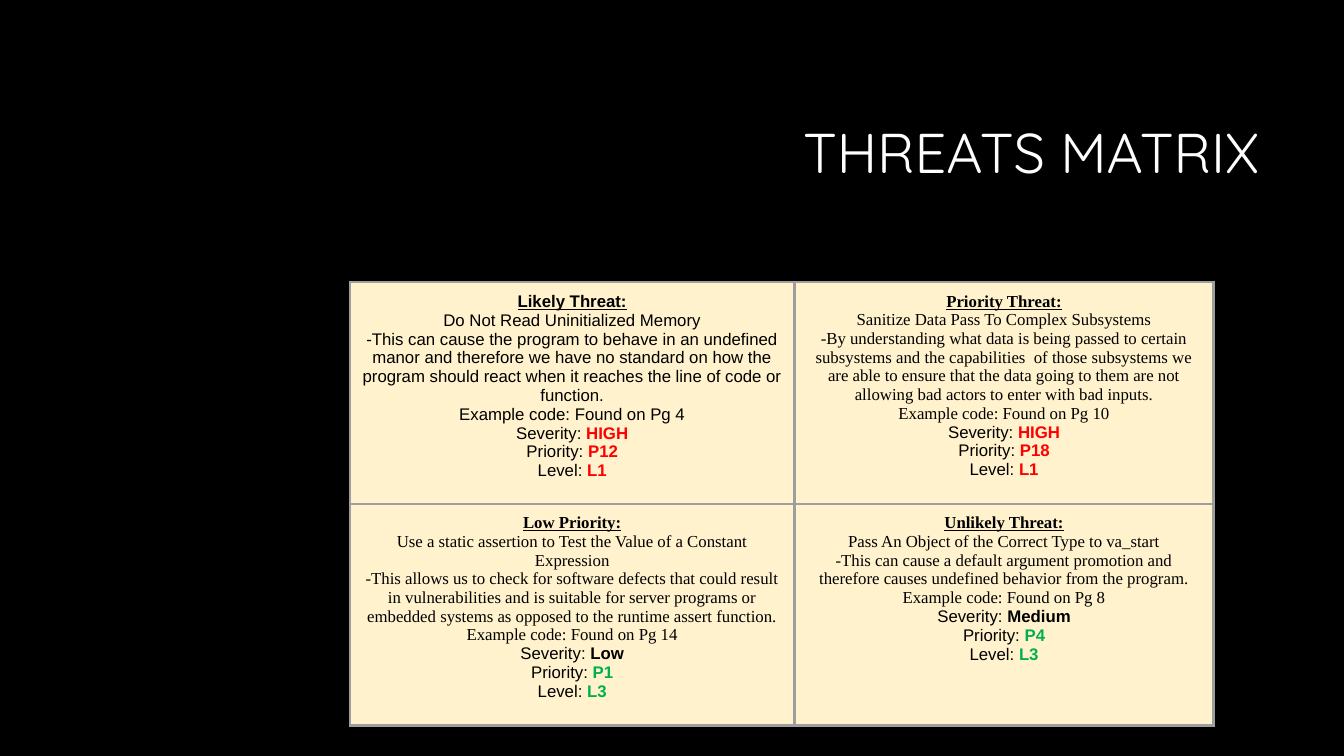
from lxml.etree import SubElement
from pptx import Presentation
from pptx.dml.color import RGBColor
from pptx.enum.text import MSO_ANCHOR, PP_ALIGN
from pptx.oxml.ns import qn
from pptx.util import Pt

COLORS = {
    "back": "000000", "title": "FFFFFF", "text": "000000", "cell": "FFF2CC",
    "border": "9E9E9E", "red": "FF0000", "green": "00B050",
}
SANS, SERIF = "Arial", "Times New Roman"

TITLE = "THREATS MATRIX"
# Each threat: font, heading, rule, reason, page, then (value, color) ratings
THREATS = [
    [
        (SANS, "Likely Threat:", "Do Not Read Uninitialized Memory",
         "-This can cause the program to behave in an undefined manor and "
         "therefore we have no standard on how the program should react when "
         "it reaches the line of code or function.",
         4, [("HIGH", "red"), ("P12", "red"), ("L1", "red")]),
        (SERIF, "Priority Threat:", "Sanitize Data Pass To Complex Subsystems",
         "-By understanding what data is being passed to certain subsystems "
         "and the capabilities  of those subsystems we are able to ensure that "
         "the data going to them are not allowing bad actors to enter with bad "
         "inputs.",
         10, [("HIGH", "red"), ("P18", "red"), ("L1", "red")]),
    ],
    [
        (SERIF, "Low Priority:",
         "Use a static assertion to Test the Value of a Constant Expression",
         "-This allows us to check for software defects that could result in "
         "vulnerabilities and is suitable for server programs or embedded "
         "systems as opposed to the runtime assert function.",
         14, [("Low", "text"), ("P1", "green"), ("L3", "green")]),
        (SERIF, "Unlikely Threat:",
         "Pass An Object of the Correct Type to va_start",
         "-This can cause a default argument promotion and therefore causes "
         "undefined behavior from the program.",
         8, [("Medium", "text"), ("P4", "green"), ("L3", "green")]),
    ],
]
RATINGS = ["Severity: ", "Priority: ", "Level: "]
WIDTHS = [317.5, 299.5]
ROW = 139


def color(name):
    return RGBColor.from_string(COLORS[name])


def add_run(para, text, font, size=12, tint="text", bold=False, under=False):
    run = para.add_run()
    run.text = text
    run.font.name = font
    run.font.size = Pt(size)
    run.font.color.rgb = color(tint)
    run.font.bold = bold
    run.font.underline = under


def add_borders(cell):
    """Draw all four borders; they must come before the cell's fill."""
    props = cell._tc.get_or_add_tcPr()
    for side in ("lnL", "lnR", "lnT", "lnB"):
        line = SubElement(props, qn(f"a:{side}"), w=str(Pt(2.25)))
        fill = SubElement(line, qn("a:solidFill"))
        SubElement(fill, qn("a:srgbClr"), val=COLORS["border"])


def fill_cell(cell, threat):
    font, heading, rule, reason, page, values = threat
    add_borders(cell)
    cell.fill.solid()
    cell.fill.fore_color.rgb = color("cell")
    cell.margin_left = cell.margin_right = Pt(7.2)
    cell.margin_top = cell.margin_bottom = Pt(7.2)
    frame = cell.text_frame

    para = frame.paragraphs[0]
    add_run(para, heading, font, bold=True, under=True)
    for text in (rule, reason, f"Example code: Found on Pg {page}"):
        add_run(frame.add_paragraph(), text, font)
    for label, (value, tint) in zip(RATINGS, values):
        para = frame.add_paragraph()
        add_run(para, label, SANS)
        add_run(para, value, SANS, tint=tint, bold=True)
    for para in frame.paragraphs:
        para.alignment = PP_ALIGN.CENTER


def add_title(slide):
    box = slide.shapes.add_textbox(Pt(228), Pt(60.5), Pt(678.5), Pt(101.5))
    frame = box.text_frame
    frame.word_wrap = True
    frame.vertical_anchor = MSO_ANCHOR.MIDDLE
    para = frame.paragraphs[0]
    para.alignment = PP_ALIGN.RIGHT
    para.line_spacing = 0.9
    add_run(para, TITLE, "Quicksand", 40, "title")


def add_matrix(slide):
    rows, cols = len(THREATS), len(WIDTHS)
    table = slide.shapes.add_table(
        rows, cols, Pt(250), Pt(201.5), Pt(sum(WIDTHS)), Pt(ROW * rows)).table
    table.first_row = table.horz_banding = False
    for col, width in zip(table.columns, WIDTHS):
        col.width = Pt(width)
    for r, threats in enumerate(THREATS):
        table.rows[r].height = Pt(ROW)
        for c, threat in enumerate(threats):
            fill_cell(table.cell(r, c), threat)


def main():
    deck = Presentation()
    deck.slide_width, deck.slide_height = Pt(960), Pt(540)
    slide = deck.slides.add_slide(deck.slide_layouts[6])
    slide.background.fill.solid()
    slide.background.fill.fore_color.rgb = color("back")
    add_title(slide)
    add_matrix(slide)
    deck.save("out.pptx")


if __name__ == "__main__":
    main()
